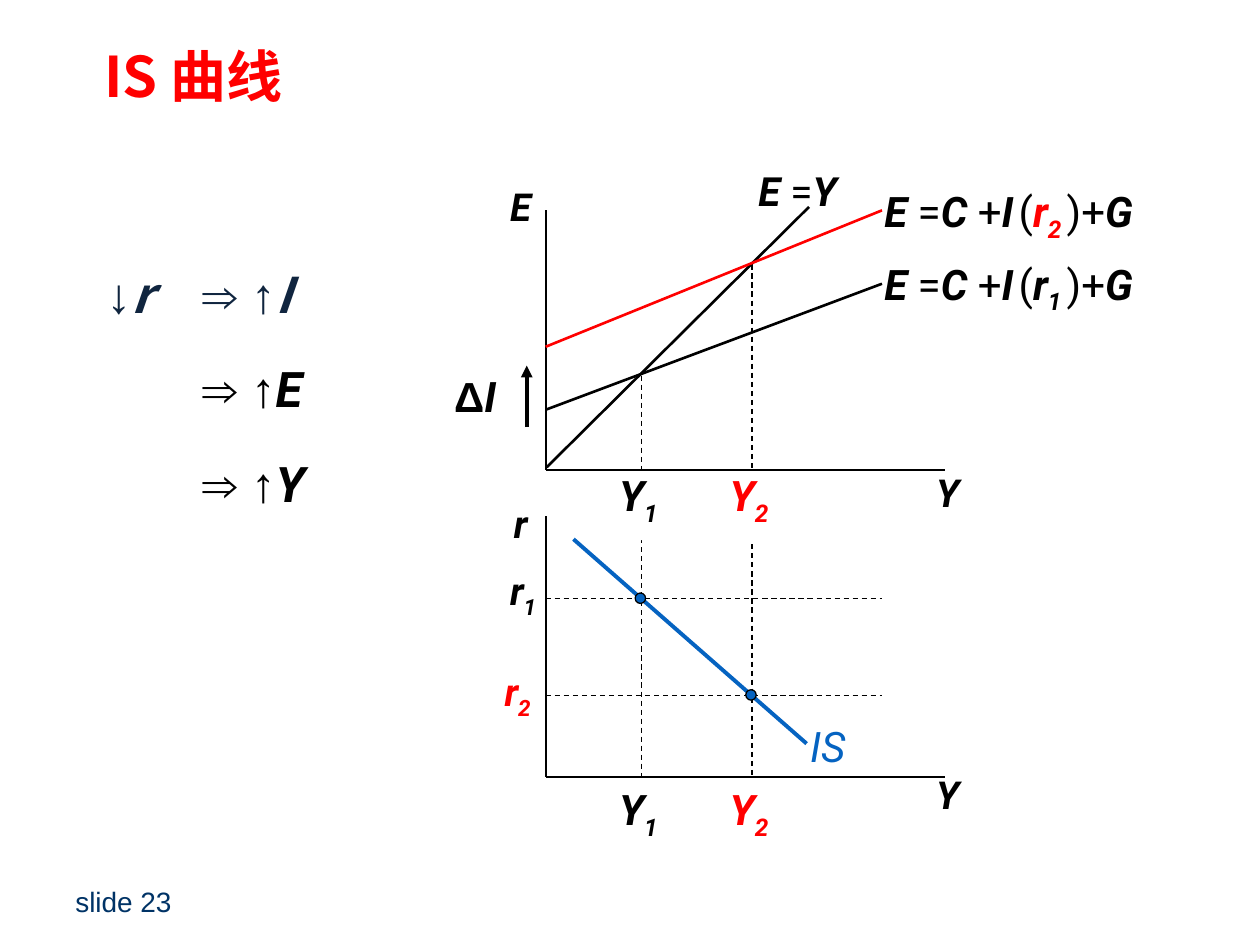
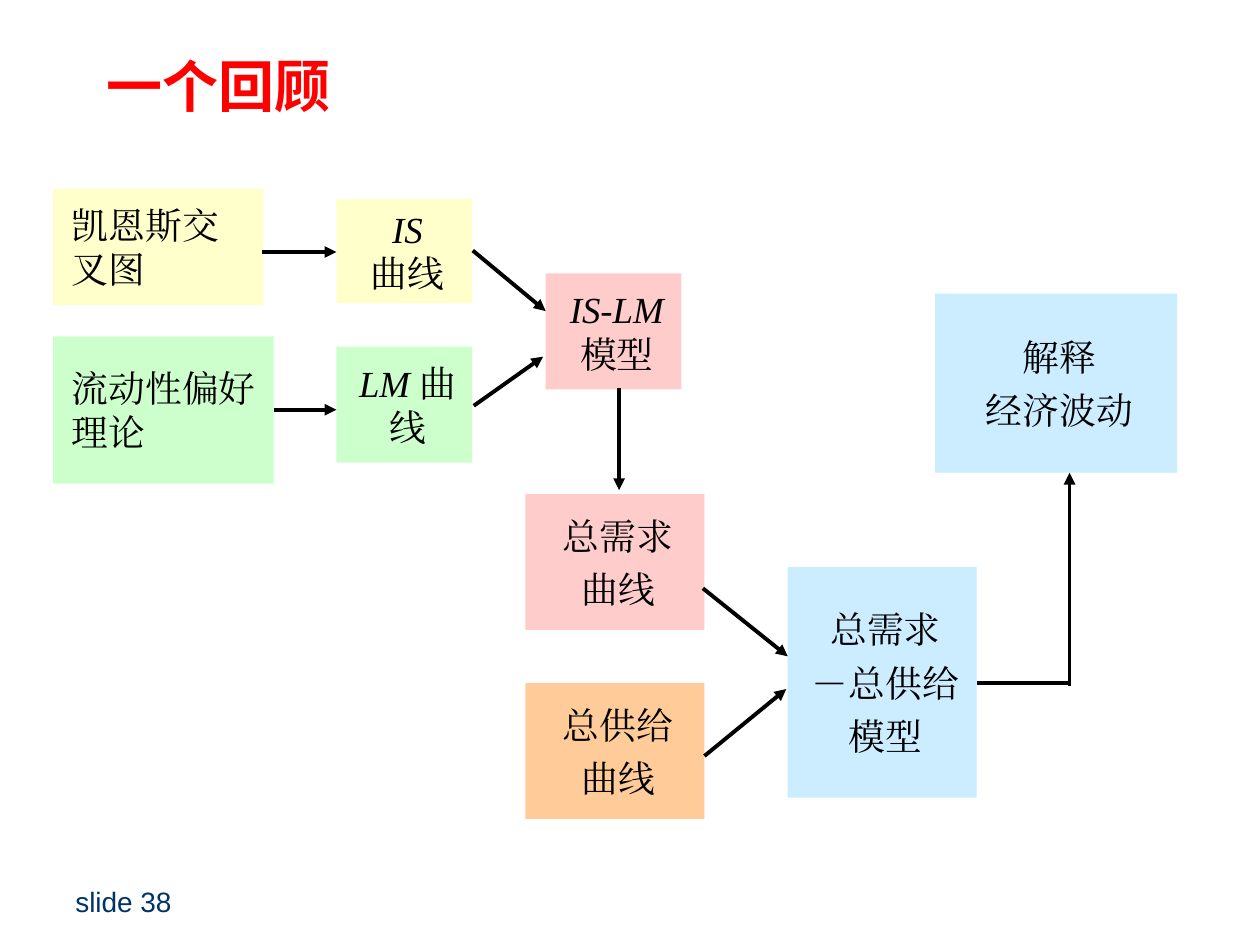
import dataclasses

import lxml.etree
import pptx
import pptx.dml.color
import pptx.enum.dml
import pptx.enum.shapes
import pptx.enum.text
import pptx.oxml.ns
import pptx.util

Cm = pptx.util.Cm
Pt = pptx.util.Pt
qn = pptx.oxml.ns.qn
Align = pptx.enum.text.PP_ALIGN
Anchor = pptx.enum.text.MSO_ANCHOR
Shapes = pptx.enum.shapes.MSO_SHAPE


@dataclasses.dataclass(frozen=True)
class Theme:
    black: str = "000000"
    white: str = "FFFFFF"
    red: str = "FF0000"
    blue: str = "0563C1"
    navy: str = "10253F"
    footer: str = "003366"
    yellow: str = "FFFFCC"
    green: str = "CCFFCC"
    pink: str = "FFCCCC"
    orange: str = "FFCC99"
    sky: str = "CCECFF"
    title_font: str = "Noto Sans CJK SC"
    plain_font: str = "Arial"
    math_font: str = "Roboto"
    box_font: str = "Times New Roman"
    title_size: int = 32
    step_size: int = 28
    label_size: int = 24
    diagonal_size: int = 23
    axis_size: int = 22
    box_size: int = 21
    footer_size: int = 16
    thin: float = 0.75
    axis: float = 1
    curve: float = 1.5
    thick: float = 2.25


theme = Theme()


def put_text(slide, box, paragraphs, holder=None, fill=None, alpha=None,
             align=Align.LEFT, anchor=Anchor.TOP, margins=(0.25, 0.13, 0.25, 0.13),
             line_spacing=None, space_before=0, tab=None, **run_format):
    """Write paragraphs, each a list of texts or (text, changed format) pairs."""
    lengths = [Cm(length) for length in box]
    if holder is not None:
        shape = holder
        shape.left, shape.top, shape.width, shape.height = lengths
    elif fill:
        shape = slide.shapes.add_shape(Shapes.RECTANGLE, *lengths)
        shape.shadow.inherit = False
        shape.line.fill.background()
        shape.fill.solid()
        shape.fill.fore_color.rgb = pptx.dml.color.RGBColor.from_string(fill)
        if alpha:
            color_element = shape._element.spPr.find(qn("a:solidFill"))[0]
            lxml.etree.SubElement(color_element, qn("a:alpha"), val=str(alpha * 1000))
    else:
        shape = slide.shapes.add_textbox(*lengths)
    frame = shape.text_frame
    frame.word_wrap = True
    frame.auto_size = pptx.enum.text.MSO_AUTO_SIZE.NONE
    frame.vertical_anchor = anchor
    frame.margin_left, frame.margin_top, frame.margin_right, frame.margin_bottom = map(Cm, margins)
    for index, runs in enumerate(paragraphs):
        paragraph = frame.add_paragraph() if index else frame.paragraphs[0]
        paragraph.alignment = align
        paragraph.space_before = Pt(space_before if index else 0)
        if line_spacing:
            paragraph.line_spacing = line_spacing
        if tab:
            tabs = lxml.etree.SubElement(paragraph._p.get_or_add_pPr(), qn("a:tabLst"))
            lxml.etree.SubElement(tabs, qn("a:tab"), pos=str(Cm(tab)), algn="l")
        for item in runs:
            text, changes = (item, {}) if isinstance(item, str) else item
            if text == "\n":
                paragraph.add_line_break()
                continue
            style = {**run_format, **changes}
            run = paragraph.add_run()
            run.text = text
            run.font.name = style["font"]
            run.font.size = Pt(style["size"])
            run.font.bold = style.get("bold", False)
            run.font.italic = style.get("italic", False)
            run.font.color.rgb = pptx.dml.color.RGBColor.from_string(style.get("color", theme.black))
            properties = run._r.get_or_add_rPr()
            lxml.etree.SubElement(properties, qn("a:ea"), typeface=style["font"])
            if style.get("subscript"):
                properties.set("baseline", "-25000")
    return shape


def draw_line(slide, start, end, width, color=theme.black, dashed=False, arrow=False):
    connector = slide.shapes.add_connector(
        pptx.enum.shapes.MSO_CONNECTOR.STRAIGHT, *[Cm(length) for length in (*start, *end)])
    connector.line.width = Pt(width)
    connector.line.color.rgb = pptx.dml.color.RGBColor.from_string(color)
    if dashed:
        connector.line.dash_style = pptx.enum.dml.MSO_LINE.DASH
    properties = connector._element.spPr
    if arrow:
        lxml.etree.SubElement(properties.find(qn("a:ln")), qn("a:tailEnd"), type="triangle")
    lxml.etree.SubElement(properties, qn("a:effectLst"))


presentation = pptx.Presentation()
presentation.slide_width = Cm(25.4)
presentation.slide_height = Cm(19.05)

# Titles and footers
slides = []
for title, number, title_box in [
    ("IS 曲线", 23, (1.85, 0, 22.86, 3.18)),
    ("一个回顾", 38, (1.9, 0.64, 21.39, 2.34)),
]:
    slide = presentation.slides.add_slide(presentation.slide_layouts[5])
    put_text(slide, title_box, [[title]], holder=slide.shapes.title, anchor=Anchor.MIDDLE,
             line_spacing=0.9, font=theme.title_font, size=theme.title_size,
             color=theme.red, bold=True)
    put_text(slide, (1.27, 17.65, 5.92, 1.02), [[f"slide {number}"]], anchor=Anchor.MIDDLE,
             font=theme.plain_font, size=theme.footer_size, color=theme.footer)
    slides.append(slide)
curve_slide, review_slide = slides

# IS curve: chain of effects on the left
slanted = {"bold": True, "italic": True}
upright = {"bold": False, "italic": False}
subscript = {"subscript": True}
arrows = ("⇒ ↑", {"font": theme.plain_font})
variable = {"font": theme.title_font, "italic": True}
steps = [
    (1.9, [("↓", {"font": theme.plain_font}), ("r\t", variable), arrows, ("I", variable)],
     {"color": theme.navy, "bold": True}),
    (2.34, ["\t", arrows, ("E", slanted)], {}),
    (2.11, ["\t", arrows, ("Y", slanted)], {}),
]
for row, (height, runs, style) in enumerate(steps):
    put_text(curve_slide, (1.9, 5.08 + 1.905 * row, 5.72, height), [runs], fill=theme.white,
             alpha=50, line_spacing=1.1, tab=1.93, font=theme.math_font,
             size=theme.step_size, **style)

# IS curve: shared positions of the two graphs
origin_x, axis_end_x, curve_end_x = 11, 19.05, 17.78
upper_base, lower_base = 9.47, 15.67
label = {"font": theme.math_font, "size": theme.label_size, **slanted}
axis_label = {**label, "size": theme.axis_size}
outputs = [("1", 12.93, 7.57, theme.black), ("2", 15.16, 5.33, theme.red)]
rates = [("1", 12.07, (9.91, 11.3), theme.black), ("2", 14.02, (9.8, 13.34), theme.red)]

# Output levels: guides run behind the white tick labels
for index, x, top, color in outputs:
    draw_line(curve_slide, (x, top), (x, lower_base), theme.thin, dashed=True)
    for base, height, margin_top in [(upper_base, 1.42, 0), (lower_base, 1.55, 0.13)]:
        put_text(curve_slide, (x - 0.58, base, 1.27, height), [["Y", (index, subscript)]],
                 fill=theme.white, margins=(0.13, margin_top, 0.13, 0.25), color=color, **label)

# Axes and their names
for name, top, base, name_top, output_top in [
    ("E", 4.24, upper_base, 3.56, 9.32),
    ("r", 10.41, lower_base, 9.96, 15.42),
]:
    draw_line(curve_slide, (origin_x, top), (origin_x, base), theme.axis)
    draw_line(curve_slide, (origin_x, base), (axis_end_x, base), theme.axis)
    put_text(curve_slide, (9.96, name_top, 1.07, 1.19), [[name]], align=Align.CENTER, **axis_label)
    put_text(curve_slide, (18.62, output_top, 1.47, 1.19), [["Y"]], **axis_label)

# Upper graph: 45-degree line and the two spending lines
draw_line(curve_slide, (11.02, 9.42), (16.31, 4.17), theme.curve)
put_text(curve_slide, (15.04, 3.23, 2.74, 1.24), [["E ", ("=", upright), "Y"]],
         **{**label, "size": theme.diagonal_size})
for index, start_y, end_y, label_top, color in [
    ("1", 8.26, 5.72, 5.08, theme.black),
    ("2", 6.99, 4.24, 3.61, theme.red),
]:
    draw_line(curve_slide, (origin_x, start_y), (curve_end_x, end_y), theme.curve, color)
    gap = (" ", {"size": 12})
    formula = ["E ", ("=", upright), "C ", ("+", upright), "I", gap, ("(", upright),
               ("r", {"color": color}), (index, {"color": color, **subscript}),
               gap, (")+", upright), "G"]
    put_text(curve_slide, (17.58, label_top, 7.19, 1.42), [formula], **label)

# Rise in investment
put_text(curve_slide, (8.74, 7.34, 1.68, 1.27),
         [[("Δ", {"font": theme.plain_font, "italic": False}), "I"]], align=Align.CENTER, **label)
draw_line(curve_slide, (10.62, 8.61), (10.62, 7.37), theme.thick, arrow=True)

# Lower graph: interest rates, IS curve and its two points
for index, y, corner, color in rates:
    draw_line(curve_slide, (origin_x, y), (curve_end_x, y), theme.thin, dashed=True)
    put_text(curve_slide, (*corner, 1.27, 1.32), [["r", (index, subscript)]],
             align=Align.CENTER, color=color, **axis_label)
draw_line(curve_slide, (11.56, 10.87), (16.26, 14.99), theme.thick, theme.blue)
put_text(curve_slide, (16.08, 14.4, 1.47, 1.27), [["IS"]], font=theme.math_font,
         size=theme.label_size, color=theme.blue, italic=True)
diameter = 0.21
for (_, x, _, _), (_, y, _, _) in zip(outputs, rates):
    dot = curve_slide.shapes.add_shape(
        Shapes.OVAL, Cm(x - diameter / 2 - 0.02), Cm(y - diameter / 2 - 0.01),
        Cm(diameter), Cm(diameter))
    dot.shadow.inherit = False
    dot.fill.solid()
    dot.fill.fore_color.rgb = pptx.dml.color.RGBColor.from_string(theme.blue)
    dot.line.width = Pt(theme.thin)
    dot.line.color.rgb = pptx.dml.color.RGBColor.from_string(theme.black)

# Review: boxes of the model
italic = {"italic": True}
for box, fill, align, paragraphs in [
    ((1.07, 3.81, 4.24, 2.34), theme.yellow, Align.LEFT, [["凯恩斯交叉图"]]),
    ((1.07, 6.78, 4.45, 2.97), theme.green, Align.LEFT, [["流动性偏好理论"]]),
    ((6.78, 4.01, 2.74, 2.11), theme.yellow, Align.CENTER, [[("IS", italic), "\n", "曲线"]]),
    ((6.78, 6.99, 2.74, 2.34), theme.green, Align.CENTER, [[("LM ", italic), "曲线"]]),
    ((11, 5.51, 2.74, 2.34), theme.pink, Align.CENTER, [[("IS-LM", italic), "\n", "模型"]]),
    ((10.59, 9.96, 3.61, 2.74), theme.pink, Align.CENTER, [["总需求"], ["曲线"]]),
    ((10.59, 13.77, 3.61, 2.74), theme.orange, Align.CENTER, [["总供给"], ["曲线"]]),
    ((15.88, 11.43, 3.81, 4.65), theme.sky, Align.CENTER, [["总需求"], ["－总供给"], ["模型"]]),
    ((18.85, 5.92, 4.88, 3.61), theme.sky, Align.CENTER, [["解释"], ["经济波动"]]),
]:
    put_text(review_slide, box, paragraphs, fill=fill, align=align, anchor=Anchor.MIDDLE,
             margins=(0.38, 0.13, 0.25, 0.13), space_before=5.2,
             font=theme.box_font, size=theme.box_size)

# Review: arrows between the boxes, the last one with a corner
for start, end in [
    ((5.28, 5.08), (6.78, 5.08)),
    ((5.52, 8.26), (6.78, 8.26)),
    ((9.53, 5.05), (11, 6.27)),
    ((9.55, 8.18), (10.95, 7.19)),
    ((12.48, 7.82), (12.48, 9.88)),
    ((14.17, 11.86), (15.88, 13.23)),
    ((14.2, 15.24), (15.85, 13.89)),
    ((21.56, 13.82), (21.56, 9.53)),
]:
    draw_line(review_slide, start, end, theme.thick, arrow=True)
draw_line(review_slide, (19.69, 13.77), (21.6, 13.77), theme.thick)

presentation.save("out.pptx")
